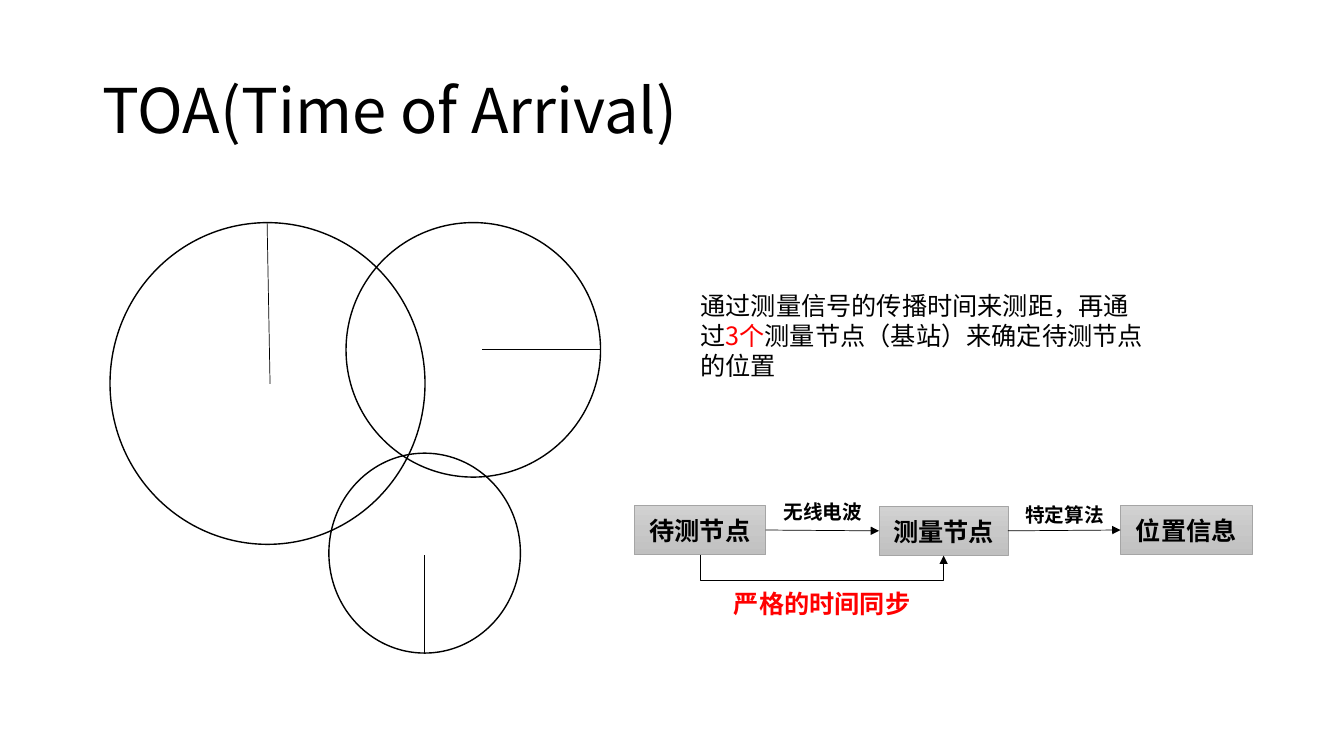
import copy
from dataclasses import dataclass

import pptx
import pptx.dml.color
import pptx.enum.shapes
import pptx.enum.text
import pptx.oxml
import pptx.oxml.ns
import pptx.util

RGBColor = pptx.dml.color.RGBColor
BLACK = RGBColor(0, 0, 0)
WHITE = RGBColor(0xFF, 0xFF, 0xFF)
RED = RGBColor(0xFF, 0, 0)
EDGE_GREY = RGBColor(0xA5, 0xA5, 0xA5)
NODE_GREYS = (RGBColor(0xD2, 0xD2, 0xD2), RGBColor(0xC8, 0xC8, 0xC8),
              RGBColor(0xC0, 0xC0, 0xC0))
FONT = "Noto Sans CJK SC"
SHAPE = pptx.enum.shapes.MSO_SHAPE
CONNECTOR = pptx.enum.shapes.MSO_CONNECTOR
MIDDLE = pptx.enum.text.MSO_ANCHOR.MIDDLE
CENTER = pptx.enum.text.PP_ALIGN.CENTER
TOP, LEFT, BOTTOM, RIGHT = range(4)
CELL = pptx.util.Inches(13.33) / 160  # the slide is 160 columns by 90 rows
HAIRLINE = 0.5


@dataclass(frozen=True)
class Box:
    """A place on the grid, in columns and rows."""
    col: float
    row: float
    cols: float
    rows: float

    def emu(self) -> tuple:
        return tuple(map(grid, (self.col, self.row, self.cols, self.rows)))


@dataclass(frozen=True)
class Range:
    """A circle of possible positions, with its radius from rim to station."""
    box: Box
    rim: tuple
    station: tuple


@dataclass(frozen=True)
class Label:
    text: str
    box: Box
    size: int = 18
    color: RGBColor = BLACK


TITLE = Box(11.04, 4.8, 138, 17.4)
BODY = Box(82.2, 33.95, 56.15, 12.1)
BODY_RUNS = (("通过测量信号的传播时间来测距，再通过", BLACK), ("3个", RED),
             ("测量节点（基站）来确定待测节点的位置", BLACK))
RANGES = (
    Range(Box(13.1, 26.5, 37.5, 38.3), (31.8, 26.5), (32.15, 45.7)),
    Range(Box(41.2, 26.5, 30.3, 30.3), (71.5, 41.65), (57.4, 41.65)),
    Range(Box(39.15, 53.95, 22.8, 23.8), (50.55, 77.75), (50.55, 66.1)),
)
NODES = (
    Label("待测节点", Box(75.5, 60.15, 15.65, 5.9)),
    Label("测量节点", Box(104.65, 60.25, 15.35, 5.9)),
    Label("位置信息", Box(133.4, 60.15, 15.65, 5.9)),
)
CAPTIONS = (
    Label("严格的时间同步", Box(85.45, 68.9, 24.85, 5.9), color=RED),
    Label("无线电波", Box(91.7, 59.3, 12.5, 3.25), 14),
    Label("特定算法", Box(120.5, 59.65, 12.5, 3.25), 14),
)
SYNC_DROP = 3.1


def grid(cells: float) -> int:
    return round(cells * CELL)


def style_font(p, size: int, color=None, bold: bool = False) -> None:
    p.font.name, p.font.size, p.font.bold = FONT, pptx.util.Pt(size), bold
    if color is not None:
        p.font.color.rgb = color
    p.font._element.get_or_add_latin().addnext(
        pptx.oxml.parse_xml(f'<a:ea {pptx.oxml.ns.nsdecls("a")} typeface="{FONT}"/>'))


def style_line(s, color: RGBColor, width: float) -> None:
    s.line.color.rgb = color
    s.line.width = pptx.util.Pt(width)


def add_text(slide, box: Box, size: int, runs: tuple):
    tf = slide.shapes.add_textbox(*box.emu()).text_frame
    tf.word_wrap = True
    p = tf.paragraphs[0]
    style_font(p, size)
    for text, color in runs:
        r = p.add_run()
        r.text = text
        r.font.color.rgb = color
    return tf


def add_label(slide, label: Label):
    s = slide.shapes.add_shape(SHAPE.RECTANGLE, *label.box.emu())
    s.shadow.inherit = False
    s.fill.solid()
    s.fill.fore_color.rgb = WHITE
    s.line.fill.background()
    tf = s.text_frame
    tf.word_wrap = True
    tf.vertical_anchor = MIDDLE
    p = tf.paragraphs[0]
    p.text, p.alignment = label.text, CENTER
    style_font(p, label.size, label.color, bold=True)
    return s


def add_node(slide, label: Label):
    s = add_label(slide, label)
    s.fill.gradient()
    s.fill.gradient_angle = 270
    stop_list = s._element.spPr.find(pptx.oxml.ns.qn("a:gradFill")).gsLst
    stop_list.insert(1, copy.deepcopy(stop_list[0]))
    for i, (stop, grey) in enumerate(zip(s.fill.gradient_stops, NODE_GREYS)):
        stop.color.rgb, stop.position = grey, i / 2
    style_line(s, EDGE_GREY, HAIRLINE)
    return s


def add_line(slide, start: tuple, end: tuple, kind=CONNECTOR.STRAIGHT, arrow: bool = False):
    s = slide.shapes.add_connector(kind, *start, *end)
    style_line(s, BLACK, HAIRLINE)
    ns = pptx.oxml.ns.nsdecls("a")
    if arrow:
        s.line._get_or_add_ln().append(pptx.oxml.parse_xml(f'<a:tailEnd {ns} type="triangle"/>'))
    s._element.spPr.append(pptx.oxml.parse_xml(f"<a:effectLst {ns}/>"))
    return s


def add_range(slide, item: Range) -> None:
    s = slide.shapes.add_shape(SHAPE.OVAL, *item.box.emu())
    s.shadow.inherit = False
    s.fill.background()
    style_line(s, BLACK, 1)
    add_line(slide, tuple(map(grid, item.rim)), tuple(map(grid, item.station)))


def add_step(slide, source, target) -> None:
    s = add_line(slide, (source.left + source.width, source.top), (target.left, target.top),
                 arrow=True)
    s.begin_connect(source, RIGHT)
    s.end_connect(target, LEFT)


def add_sync_link(slide, source, target) -> None:
    """Join two bottom sides with a U: an elbow turned by 270 degrees."""
    x1, y1 = source.left + source.width // 2, source.top + source.height
    x2, y2 = target.left + target.width // 2, target.top + target.height
    span, step = x2 - x1, y2 - y1
    mid_x, mid_y = (x1 + x2) // 2, (y1 + y2) // 2
    s = add_line(slide, (mid_x + step // 2, mid_y - span // 2),
                 (mid_x - step // 2, mid_y + span // 2), CONNECTOR.ELBOW, arrow=True)
    s._element.spPr.xfrm.set("rot", str(270 * 60000))
    adjust = round(grid(SYNC_DROP) / step * 100000)
    s._element.spPr.prstGeom.get_or_add_avLst().append(pptx.oxml.parse_xml(
        f'<a:gd {pptx.oxml.ns.nsdecls("a")} name="adj1" fmla="val {adjust}"/>'))


def main() -> None:
    prs = pptx.Presentation()
    prs.slide_width, prs.slide_height = grid(160), grid(90)
    slide = prs.slides.add_slide(prs.slide_layouts[6])
    tf = add_text(slide, TITLE, 44, (("TOA(Time of Arrival)", BLACK),))
    tf.vertical_anchor = MIDDLE
    tf.paragraphs[0].line_spacing = 0.9
    for item in RANGES:
        add_range(slide, item)
    add_text(slide, BODY, 18, BODY_RUNS)
    nodes = [add_node(slide, label) for label in NODES]
    for label in CAPTIONS:
        add_label(slide, label)
    for source, target in zip(nodes, nodes[1:]):
        add_step(slide, source, target)
    add_sync_link(slide, nodes[0], nodes[1])
    prs.save("out.pptx")


if __name__ == "__main__":
    main()
